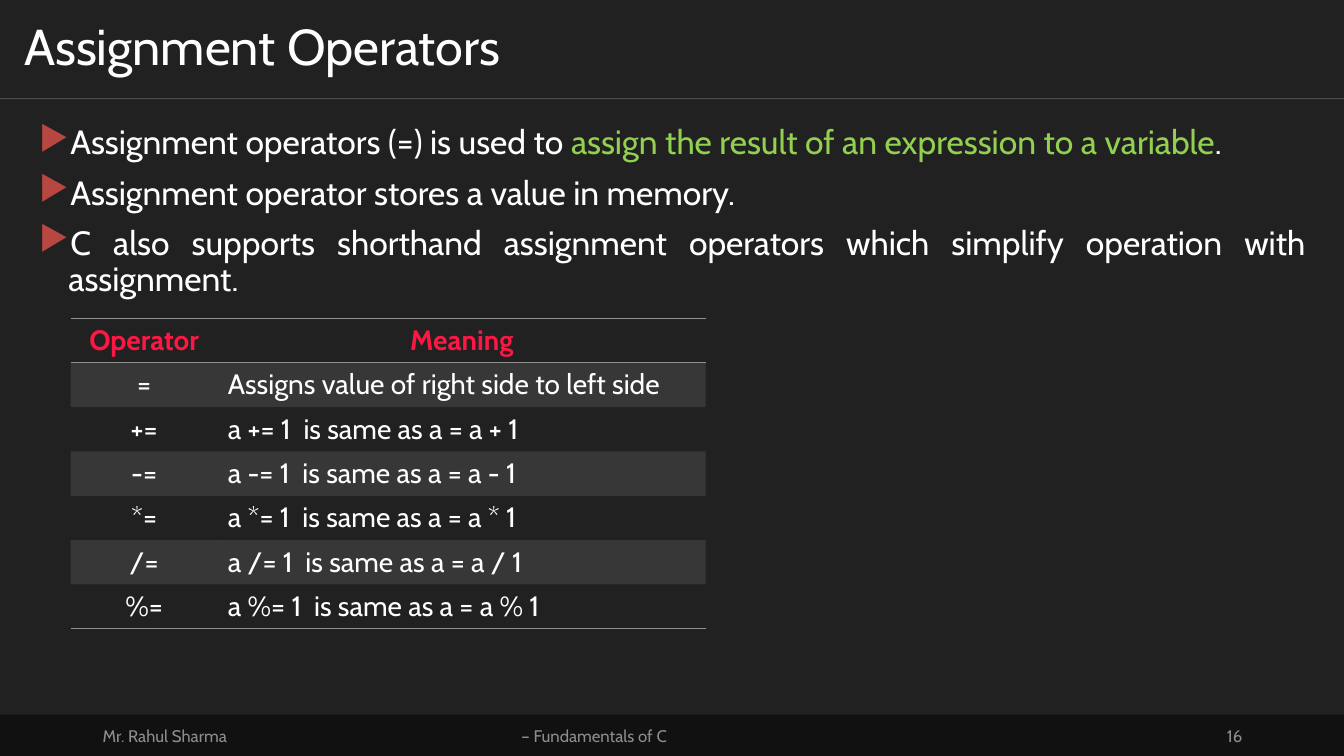
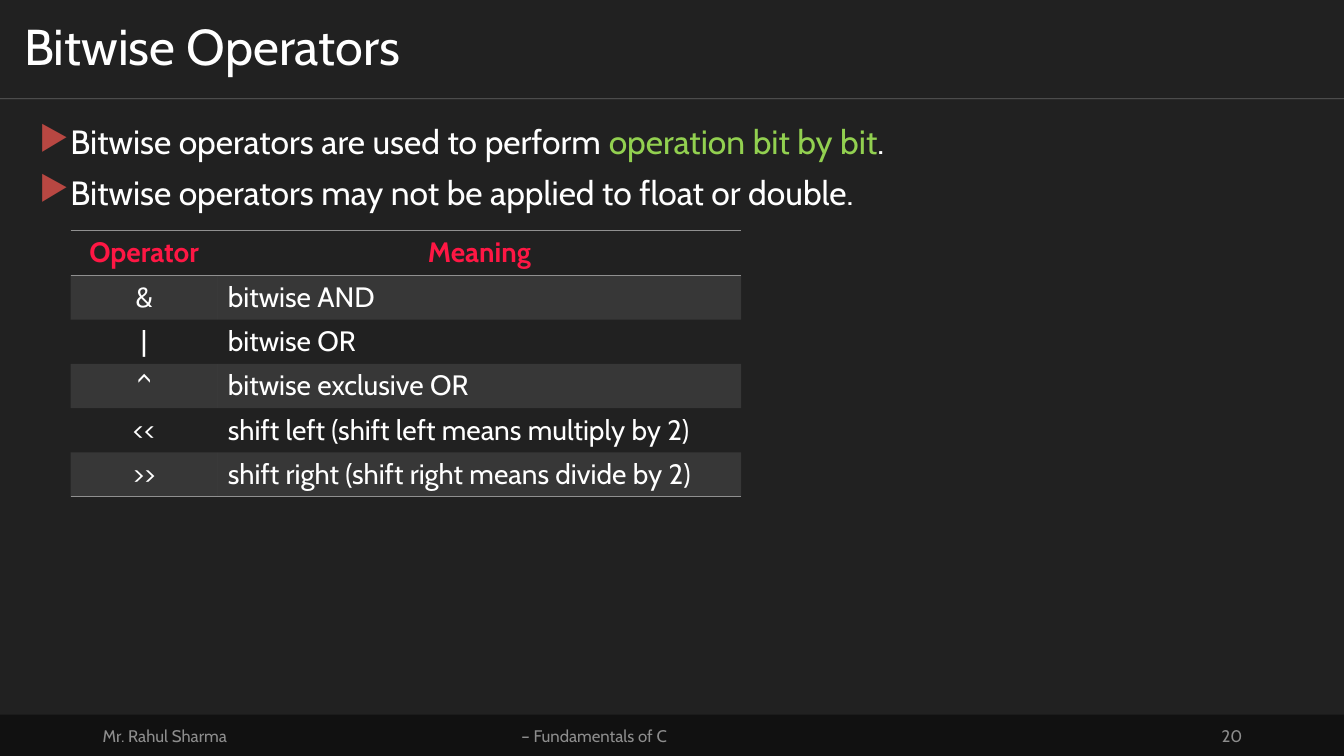
from pptx import Presentation
from pptx.dml.color import RGBColor
from pptx.enum.shapes import MSO_CONNECTOR, MSO_SHAPE
from pptx.enum.text import MSO_ANCHOR, PP_ALIGN
from pptx.oxml import parse_xml
from pptx.oxml.ns import nsdecls, qn
from pptx.util import Inches, Pt

COLORS = {
    "page": "212121",
    "band": "111111",
    "text": "FFFFFF",
    "footer": "8D8D8D",
    "bullet": "B84742",
    "key": "92D050",
    "header": "FF1744",
    "grid": "909090",
}
FONT = "Cabin"
PAGE_WIDTH, PAGE_HEIGHT = 13.33, 7.5
TITLE_BOX = (0, 0, PAGE_WIDTH, 0.98)
BODY_BOX = (0.29, 1.2, 12.76, 5.71)
FOOTER_BOX = (0, 7.09, PAGE_WIDTH, 0.41)
TABLE_LEFT = 0.7
OPERATOR_WIDTH = 1.46
ROW_HEIGHT = 0.44
NO_STYLE = "{2D5ABB26-0587-4C30-8999-92F81FD0307C}"


def rgb(name):
    return RGBColor.from_string(COLORS[name])


def set_opacity(element, percent):
    color = next(element.iter(qn("a:srgbClr")))
    color.append(parse_xml(f'<a:alpha {nsdecls("a")} val="{percent * 1000}"/>'))


def write(para, text, size=24, color="text", bold=False, align=None):
    span = para.add_run()
    span.text = text
    span.font.name = FONT
    span.font.size = Pt(size)
    span.font.bold = bold
    span.font.color.rgb = rgb(color)
    if align is not None:
        para.alignment = align
    return span


def add_text_frame(page, box, anchor=MSO_ANCHOR.MIDDLE):
    frame = page.shapes.add_textbox(*map(Inches, box)).text_frame
    frame.word_wrap = True
    frame.vertical_anchor = anchor
    return frame


def add_title(page, box, title):
    left, top, width, height = box
    rule = page.shapes.add_connector(
        MSO_CONNECTOR.STRAIGHT,
        *map(Inches, (left, top + height, left + width, top + height)),
    )
    rule.line.color.rgb = rgb("text")
    rule.line.width = Pt(0.5)
    properties = rule.element.spPr
    set_opacity(properties, 30)
    properties.append(parse_xml(f'<a:effectLst {nsdecls("a")}/>'))
    frame = add_text_frame(page, box)
    frame.margin_left = frame.margin_right = Inches(0.24)
    frame.margin_top = frame.margin_bottom = Inches(0.12)
    para = frame.paragraphs[0]
    para.line_spacing = 0.9
    write(para, title, size=36)


def add_footer(page, box, number):
    left, top, _, height = box
    band = page.shapes.add_shape(MSO_SHAPE.RECTANGLE, *map(Inches, box))
    band.shadow.inherit = False
    band.fill.solid()
    band.fill.fore_color.rgb = rgb("band")
    band.line.fill.background()
    parts = [
        (0.92, 3, "Mr. Rahul Sharma", PP_ALIGN.LEFT),
        (4.42, 2.91, " – Fundamentals of C", PP_ALIGN.CENTER),
        (9.42, 3, str(number), PP_ALIGN.RIGHT),
    ]
    for offset, width, text, align in parts:
        frame = add_text_frame(page, (left + offset, top + 0.01, width, height - 0.01))
        write(frame.paragraphs[0], text, size=12, color="footer", align=align)


def set_bullet(para):
    properties = para._p.get_or_add_pPr()
    indent = Inches(0.29)
    properties.set("marL", str(indent))
    properties.set("indent", str(-indent))
    properties.append(parse_xml(
        f'<a:buClr {nsdecls("a")}><a:srgbClr val="{COLORS["bullet"]}"/></a:buClr>'
    ))
    properties.append(parse_xml(f'<a:buChar {nsdecls("a")} char="▶"/>'))


def add_bullets(page, box, bullets):
    frame = add_text_frame(page, box, anchor=MSO_ANCHOR.TOP)
    for index, spans in enumerate(bullets):
        para = frame.add_paragraph() if index else frame.paragraphs[0]
        para.line_spacing = 0.9
        para.space_before = Pt(10)
        set_bullet(para)
        for text, color in spans:
            write(para, text, color=color, align=PP_ALIGN.JUSTIFY)


def set_border(cell, side):
    cell._tc.get_or_add_tcPr().append(parse_xml(
        f'<a:{side} {nsdecls("a")} w="{Pt(1)}"><a:solidFill>'
        f'<a:srgbClr val="{COLORS["grid"]}"/></a:solidFill></a:{side}>'
    ))


def fill_cell(cell, shaded):
    if shaded:
        cell.fill.solid()
        cell.fill.fore_color.rgb = rgb("grid")
        set_opacity(cell._tc.tcPr.find(qn("a:solidFill")), 20)
    else:
        cell.fill.background()


def add_operator_table(page, top, meaning_width, operators):
    rows = [("Operator", "Meaning"), *operators]
    widths = (OPERATOR_WIDTH, meaning_width)
    box = (TABLE_LEFT, top, sum(widths), ROW_HEIGHT * len(rows))
    graphic = page.shapes.add_table(len(rows), len(widths), *map(Inches, box))
    next(graphic.element.iter(qn("a:tableStyleId"))).text = NO_STYLE
    table = graphic.table
    table.first_row = table.horz_banding = False
    for column, width in zip(table.columns, widths):
        column.width = Inches(width)
    for row_index, row in enumerate(rows):
        table.rows[row_index].height = Inches(ROW_HEIGHT)
        is_header = row_index == 0
        for column_index, text in enumerate(row):
            cell = table.cell(row_index, column_index)
            if is_header:
                set_border(cell, "lnT")
            if is_header or row_index == len(rows) - 1:
                set_border(cell, "lnB")
            fill_cell(cell, shaded=row_index % 2 == 1)
            centred = is_header or column_index == 0
            write(
                cell.text_frame.paragraphs[0],
                text,
                size=20,
                color="header" if is_header else "text",
                bold=is_header,
                align=PP_ALIGN.CENTER if centred else PP_ALIGN.LEFT,
            )


def add_operator_page(deck, title, number, bullets, **table):
    page = deck.slides.add_slide(deck.slide_layouts[6])
    page.background.fill.solid()
    page.background.fill.fore_color.rgb = rgb("page")
    add_footer(page, FOOTER_BOX, number)
    add_title(page, TITLE_BOX, title)
    add_bullets(page, BODY_BOX, bullets)
    add_operator_table(page, **table)


def main():
    deck = Presentation()
    deck.slide_width = Inches(PAGE_WIDTH)
    deck.slide_height = Inches(PAGE_HEIGHT)
    shorthand = [
        (f"{sign}=", f"a {sign}= 1  is same as a = a {sign} 1") for sign in "+-*/%"
    ]
    add_operator_page(
        deck,
        "Assignment Operators",
        16,
        [
            [
                ("Assignment operators (=) is used to ", "text"),
                ("assign the result of an expression to a variable", "key"),
                (".", "text"),
            ],
            [("Assignment operator stores a value in memory.", "text")],
            [(
                "C also supports shorthand assignment operators which "
                "simplify operation with assignment.",
                "text",
            )],
        ],
        top=3.16,
        meaning_width=4.84,
        operators=[("=", "Assigns value of right side to left side"), *shorthand],
    )
    add_operator_page(
        deck,
        "Bitwise Operators",
        20,
        [
            [
                ("Bitwise operators are used to perform ", "text"),
                ("operation bit by bit", "key"),
                (".", "text"),
            ],
            [("Bitwise operators may not be applied to float or double.", "text")],
        ],
        top=2.29,
        meaning_width=5.19,
        operators=[
            ("&", "bitwise AND"),
            ("|", "bitwise OR"),
            ("^", "bitwise exclusive OR"),
            ("<<", "shift left (shift left means multiply by 2)"),
            (">>", "shift right (shift right means divide by 2)"),
        ],
    )
    deck.save("out.pptx")


if __name__ == "__main__":
    main()
